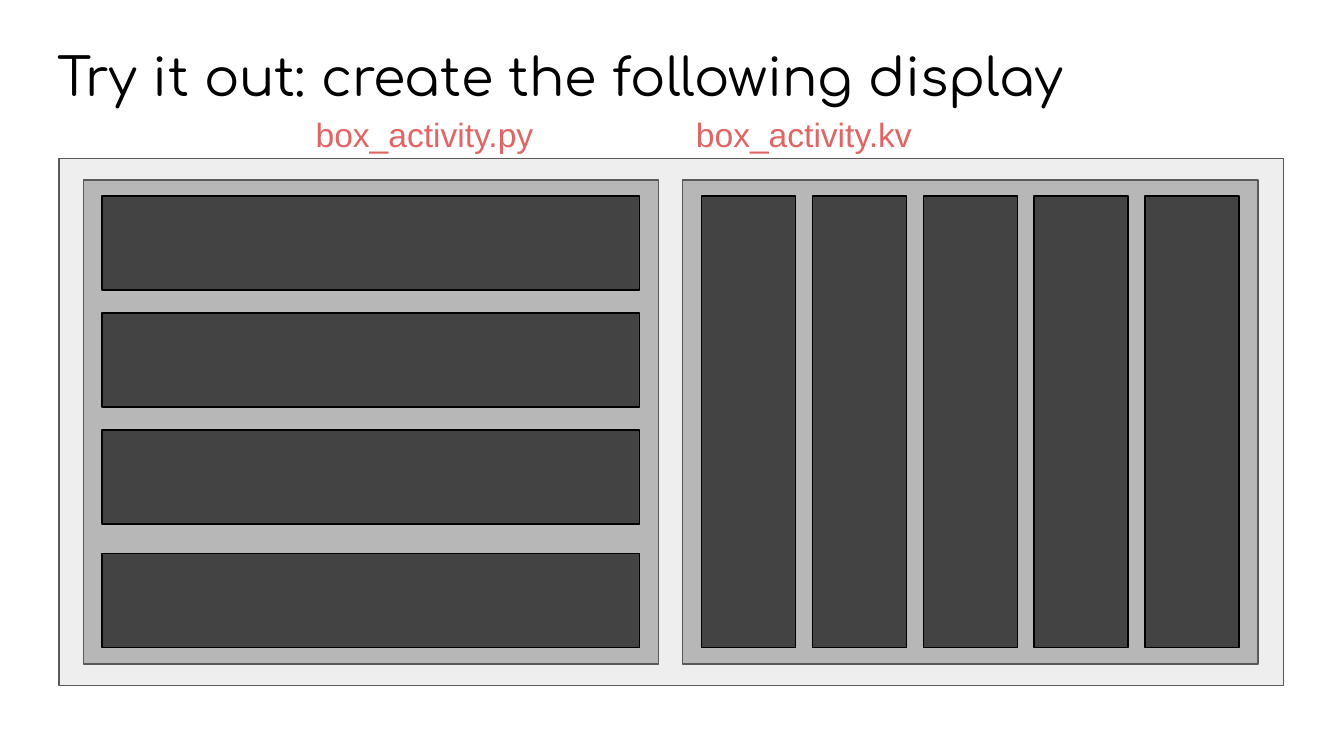
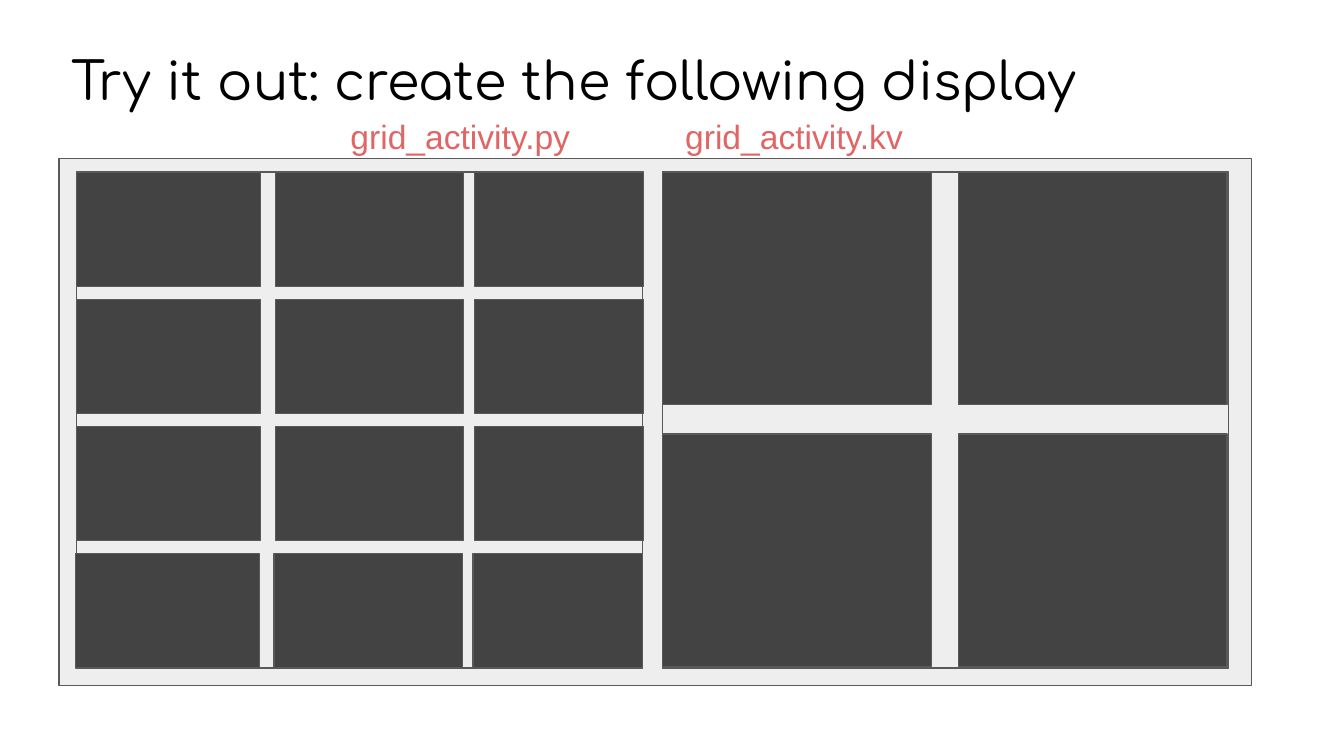
from pptx import Presentation
from pptx.dml.color import RGBColor
from pptx.enum.shapes import MSO_SHAPE
from pptx.util import Inches, Pt

BLACK = RGBColor(0x00, 0x00, 0x00)
CORAL = RGBColor(0xE0, 0x66, 0x66)
PALE = RGBColor(0xEE, 0xEE, 0xEE)
GREY = RGBColor(0xB7, 0xB7, 0xB7)
DARK = RGBColor(0x43, 0x43, 0x43)
EDGE = RGBColor(0x59, 0x59, 0x59)

TITLE = dict(size=28, font="Comfortaa", color=BLACK)
LABEL = dict(size=18, font="Arial", color=CORAL)
HEAD = "Try it out: create the following display"


def write(slide, text, left, top, width, height, *, size, font, color):
    box = slide.shapes.add_textbox(*map(Inches, (left, top, width, height)))
    frame = box.text_frame
    frame.word_wrap = True
    frame.margin_left = frame.margin_right = Inches(0.1)
    frame.margin_top = frame.margin_bottom = Inches(0.1)
    run = frame.paragraphs[0].add_run()
    run.text = text
    run.font.size = Pt(size)
    run.font.name = font
    run.font.color.rgb = color


def block(slide, left, top, width, height, fill, line=EDGE):
    """Draw one outlined rectangle of the display."""
    area = map(Inches, (left, top, width, height))
    shape = slide.shapes.add_shape(MSO_SHAPE.RECTANGLE, *area)
    shape.shadow.inherit = False
    shape.fill.solid()
    shape.fill.fore_color.rgb = fill
    shape.line.color.rgb = line
    shape.line.width = Pt(0.75)


deck = Presentation()
deck.slide_width = Inches(10)
deck.slide_height = deck.slide_width * 9 // 16
blank = deck.slide_layouts[6]

# Box layout: four rows beside five columns
slide = deck.slides.add_slide(blank)
write(slide, HEAD, 0.33, 0.23, 8.89, 0.63, **TITLE)
block(slide, 0.44, 1.18, 9.11, 3.92, PALE)
for left in (5.08, 0.62):
    block(slide, left, 1.34, 4.28, 3.6, GREY)
for top in (1.46, 2.33, 3.2, 4.12):
    block(slide, 0.76, top, 4, 0.7, DARK, BLACK)
for col in range(5):
    block(slide, 5.22 + col * 3.3 / 4, 1.46, 0.7, 3.36, DARK, BLACK)
for text, left in (("box_activity.py", 2.25), ("box_activity.kv", 5.08)):
    write(slide, text, left, 0.75, 1.86, 0.5, **LABEL)

# Grid layout: four rows of three beside two rows of two
slide = deck.slides.add_slide(blank)
block(slide, 0.44, 1.18, 8.87, 3.92, PALE)
for left in (0.57, 4.93):
    block(slide, left, 1.28, 4.21, 3.69, PALE)
for row in range(2):
    for col in range(2):
        block(slide, 4.93 + col * 2.2, 1.28 + row * 1.95, 2, 1.73, DARK)
for row in range(4):
    shift = -0.01 if row == 3 else 0  # the last row sits slightly left
    for left, width in ((0.57, 1.37), (2.05, 1.4), (3.53, 1.26)):
        block(slide, left + shift, 1.28 + row * 2.84 / 3, width, 0.85, DARK)
write(slide, HEAD, 0.43, 0.26, 8.89, 0.63, **TITLE)
for text, left in (("grid_activity.py", 2.51), ("grid_activity.kv", 5)):
    write(slide, text, left, 0.76, 2.14, 0.5, **LABEL)

deck.save("out.pptx")
